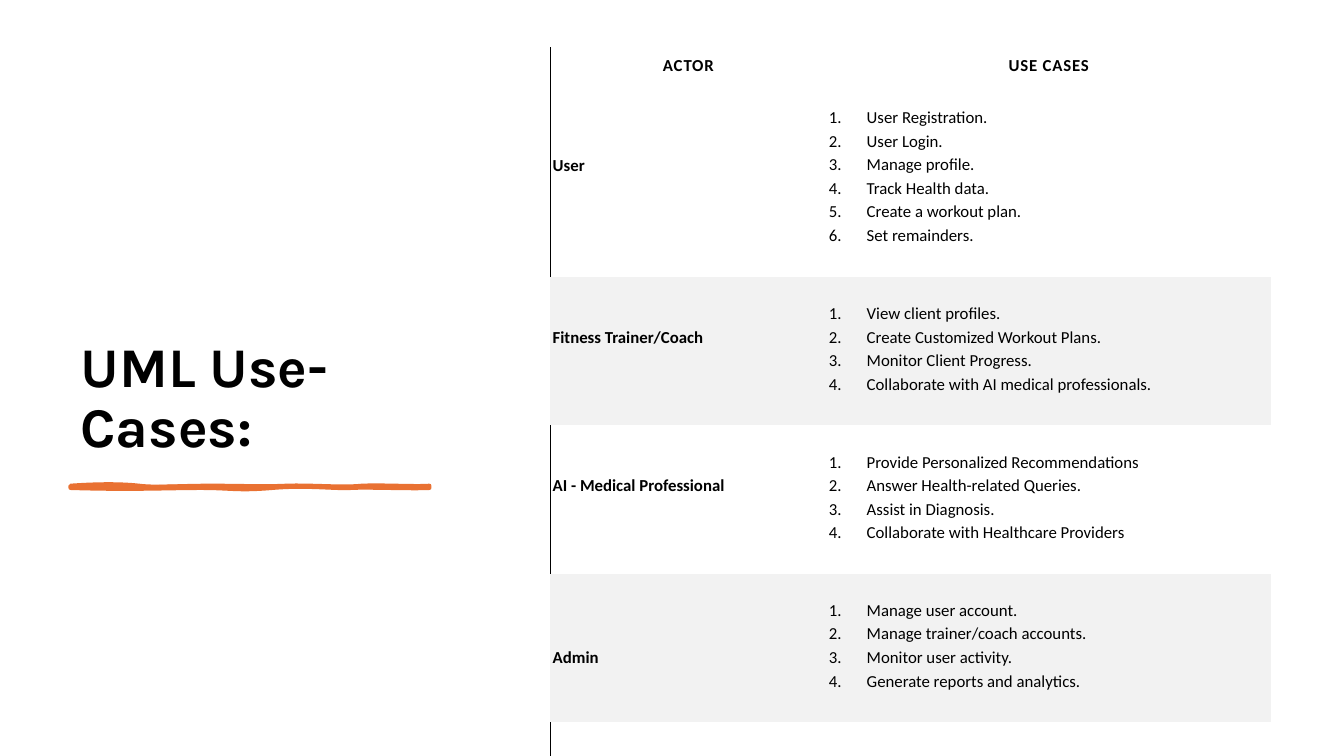
import pptx
import pptx.dml.color
import pptx.enum.text
import pptx.oxml
import pptx.oxml.ns
import pptx.util

Pt = pptx.util.Pt
ALIGN = pptx.enum.text.PP_ALIGN
ANCHOR = pptx.enum.text.MSO_ANCHOR
BLACK = pptx.dml.color.RGBColor(0x00, 0x00, 0x00)
ORANGE = pptx.dml.color.RGBColor(0xE9, 0x71, 0x32)
BAND_GREY = pptx.dml.color.RGBColor(0xF2, 0xF2, 0xF2)
NS = pptx.oxml.ns.nsdecls("a")
NO_GRID_STYLE = "{2D5ABB26-0587-4C30-8999-92F81FD0307C}"
LINE_HEIGHT = 16.9


def write(frame, text, size=12, font="Calibri", bold=False, align=ALIGN.LEFT,
          leading=1.15, tracking=0, numbered=False):
    for index, line in enumerate(text.split("\n")):
        paragraph = frame.add_paragraph() if index else frame.paragraphs[0]
        paragraph.alignment = align
        paragraph.line_spacing = leading
        run = paragraph.add_run()
        run.text = line
        run.font.size = Pt(size)
        run.font.name = font
        run.font.bold = bold
        run.font.color.rgb = BLACK
        if tracking:
            run.font._element.set("spc", str(round(tracking * 100)))
        if numbered:
            properties = paragraph._p.get_or_add_pPr()
            properties.set("marL", str(Pt(27)))
            properties.set("indent", str(-Pt(27)))
            properties.append(pptx.oxml.parse_xml(f'<a:buAutoNum {NS} type="arabicPeriod"/>'))


presentation = pptx.Presentation()
presentation.slide_width = Pt(960)
presentation.slide_height = Pt(540)
slide = presentation.slides.add_slide(presentation.slide_layouts[6])

title = slide.shapes.add_textbox(Pt(50.4), Pt(50.4), Pt(281.5), Pt(281.5)).text_frame
title.word_wrap = True
title.vertical_anchor = ANCHOR.BOTTOM
write(title, "UML Use-Cases:", size=40, font="Karla", bold=True, leading=0.9)

brush_left, brush_top, brush_width, brush_height = 50.4, 347, 256.3, 1.5
outline_curves = [
    (69.8, 345.6, 87.1, 345.6, 99.4, 347),
    (111.6, 348.5, 127.4, 347, 150.5, 347),
    (173.5, 347, 187.2, 347.8, 204.5, 347),
    (221.8, 346.3, 244.1, 348.5, 258.5, 347),
    (272.9, 346.3, 296.6, 347.8, 306.7, 347),
    (306.7, 347.8, 306.7, 348.5, 306.7, 348.5),
    (293.8, 349.2, 262.1, 347.8, 250.6, 348.5),
    (239, 349.2, 218.9, 346.3, 194.4, 348.5),
    (169.2, 350.6, 166.3, 348.5, 143.3, 348.5),
    (119.5, 348.5, 95, 349.9, 50.4, 348.5),
    (50.4, 348.5, 50.4, 347.8, 50.4, 347),
]
fill_curves = [
    (73.4, 348.5, 79.2, 347.8, 99.4, 347),
    (119.5, 346.3, 121.7, 345.6, 143.3, 347),
    (164.2, 348.5, 187.9, 347.8, 199.4, 347),
    (211, 346.3, 235.4, 349.2, 247.7, 347),
    (260.6, 345.6, 285.8, 349.9, 306.7, 347),
    (306.7, 347.8, 306.7, 347.8, 306.7, 348.5),
    (296.6, 348.5, 267.8, 350.6, 255.6, 348.5),
    (239, 347, 222.5, 348.5, 199.4, 348.5),
    (175.7, 348.5, 172.8, 347.8, 155.5, 348.5),
    (139, 349.2, 128.9, 347.8, 104.4, 348.5),
    (79.9, 349.2, 66.2, 348.5, 50.4, 348.5),
    (50.4, 347.8, 50.4, 347.8, 50.4, 347),
]
builder = slide.shapes.build_freeform(Pt(brush_left), Pt(brush_top), scale=1.0)
builder.add_line_segments([
    (Pt(brush_left + brush_width), Pt(brush_top)),
    (Pt(brush_left + brush_width), Pt(brush_top + brush_height)),
])
brush = builder.convert_to_shape()
brush.shadow.inherit = False
brush.fill.solid()
brush.fill.fore_color.rgb = ORANGE
brush.line.color.rgb = ORANGE
brush.line.width = Pt(3)
brush_paths = brush._element.spPr.find(".//" + pptx.oxml.ns.qn("a:pathLst"))
brush_paths.remove(brush_paths[0])
for curves, paint in ((outline_curves, 'fill="none"'), (fill_curves, 'stroke="0"')):
    segments = ""
    for curve in curves:
        corners = "".join(f'<a:pt x="{Pt(x - brush_left)}" y="{Pt(y - brush_top)}"/>'
                          for x, y in zip(curve[::2], curve[1::2]))
        segments += f"<a:cubicBezTo>{corners}</a:cubicBezTo>"
    brush_paths.append(pptx.oxml.parse_xml(
        f'<a:path {NS} w="{Pt(brush_width)}" h="{Pt(brush_height)}" {paint}>'
        f'<a:moveTo><a:pt x="0" y="0"/></a:moveTo>{segments}<a:close/></a:path>'))

actors = [
    ("User", 3, "User Registration.\nUser Login.\nManage profile.\n"
                "Track Health data.\nCreate a workout plan.\nSet remainders."),
    ("Fitness Trainer/Coach", 2, "View client profiles.\nCreate Customized Workout Plans.\n"
                                 "Monitor Client Progress.\n"
                                 "Collaborate with AI medical professionals."),
    ("AI - Medical Professional", 2, "Provide Personalized Recommendations\n"
                                     "Answer Health-related Queries.\nAssist in Diagnosis.\n"
                                     "Collaborate with Healthcare Providers"),
    ("Admin", 3, "Manage user account.\nManage trainer/coach accounts.\n"
                 "Monitor user activity.\nGenerate reports and analytics."),
]
row_heights = [24.1, 140, 106, 106, 106, 21.6]
column_widths = [197.3, 317.5]

use_case_table = slide.shapes.add_table(
    len(row_heights), len(column_widths), Pt(393.1), Pt(33.8),
    Pt(sum(column_widths)), Pt(sum(row_heights))).table
use_case_table.first_row = False
use_case_table.horz_banding = False
use_case_table._tbl.tblPr.find(pptx.oxml.ns.qn("a:tableStyleId")).text = NO_GRID_STYLE
for column, width in zip(use_case_table.columns, column_widths):
    column.width = Pt(width)

for number, (row, height) in enumerate(zip(use_case_table.rows, row_heights)):
    row.height = Pt(height)
    banded = number in (2, 4)
    for cell in row.cells:
        cell.margin_left = cell.margin_right = Pt(1.7)
        cell.margin_top = cell.margin_bottom = Pt(3.6)
        if banded:
            cell.fill.solid()
            cell.fill.fore_color.rgb = BAND_GREY
        else:
            cell.fill.background()
    if not banded:
        row.cells[0]._tc.get_or_add_tcPr().insert(0, pptx.oxml.parse_xml(
            f'<a:lnL {NS} w="{Pt(1)}"><a:solidFill><a:srgbClr val="{BLACK}"/></a:solidFill></a:lnL>'))

for column, heading in enumerate(["ACTOR", "USE CASES"]):
    cell = use_case_table.cell(0, column)
    cell.vertical_anchor = ANCHOR.BOTTOM
    write(cell.text_frame, heading, bold=True, align=ALIGN.CENTER, tracking=0.6)

for number, (actor, lines_above, use_cases) in enumerate(actors, start=1):
    actor_cell = use_case_table.cell(number, 0)
    actor_cell.margin_top = Pt(lines_above * LINE_HEIGHT)
    write(actor_cell.text_frame, actor, bold=True, align=ALIGN.JUSTIFY)
    use_case_cell = use_case_table.cell(number, 1)
    use_case_cell.margin_top = Pt(LINE_HEIGHT)
    write(use_case_cell.text_frame, use_cases, align=ALIGN.JUSTIFY, numbered=True)

presentation.save("out.pptx")
